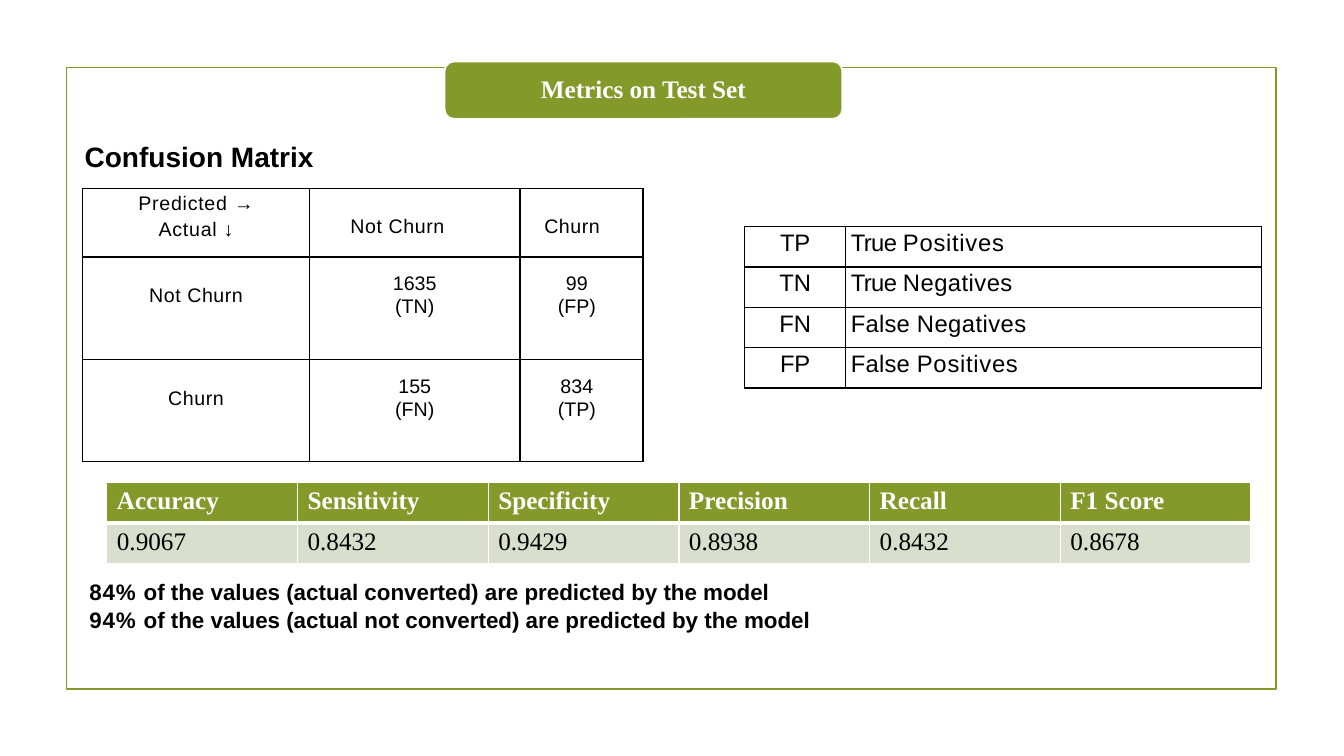
"""Build the slide of churn model metrics on the test set."""
from lxml.etree import SubElement
from pptx import Presentation
from pptx.dml.color import RGBColor
from pptx.enum.shapes import MSO_SHAPE as Shape
from pptx.enum.text import MSO_ANCHOR as Anchor, PP_ALIGN as Align
from pptx.oxml.ns import qn
from pptx.util import Inches, Pt

WIDTH, HEIGHT = 13.33, 7.5
OLIVE, PALE, WHITE, BLACK = "83992A", "D9DECD", "FFFFFF", "000000"
SANS, SERIF = "Arial", "Times New Roman"


def across(share):
    """Return a percentage of the slide width."""
    return Inches(WIDTH * share / 100)


def down(share):
    """Return a percentage of the slide height."""
    return Inches(HEIGHT * share / 100)


def place(left, top, width, height):
    """Return a position and size given as percentages of the slide."""
    return across(left), down(top), across(width), down(height)


def color(code):
    """Turn a hex string into a colour."""
    return RGBColor.from_string(code)


def write(frame, lines, size=14, font=SANS, ink=BLACK, bold=False,
          align=Align.LEFT, leading=1.0, gap=0, spacing=0):
    """Write lines, each a string or a list of (text, letter spacing) pairs."""
    frame.word_wrap = True
    for index, line in enumerate(lines):
        para = frame.add_paragraph() if index else frame.paragraphs[0]
        para.alignment = align
        para.line_spacing = leading
        para.space_before = Pt(gap if index else 0)
        pairs = [(line, spacing)] if isinstance(line, str) else line
        for text, tracking in pairs:
            span = para.add_run()
            span.text = text
            span.font.size = Pt(size)
            span.font.name = font
            span.font.bold = bold
            span.font.color.rgb = color(ink)
            span._r.get_or_add_rPr().set("spc", str(round(tracking * 100)))


def add_text(page, area, lines, **style):
    """Add a text box without insets."""
    frame = page.shapes.add_textbox(*place(*area)).text_frame
    frame.margin_left = frame.margin_right = 0
    frame.margin_top = frame.margin_bottom = 0
    write(frame, lines, **style)


def add_box(page, kind, area, line, fill=None):
    """Add a flat outlined shape, filled if a colour is given."""
    box = page.shapes.add_shape(kind, *place(*area))
    box.shadow.inherit = False
    box.line.color.rgb = color(line)
    box.line.width = Pt(1.25)
    if fill:
        box.fill.solid()
        box.fill.fore_color.rgb = color(fill)
    else:
        box.fill.background()
    return box


def add_grid(page, left, top, columns, rows):
    """Add a plain table with the given column widths and row heights."""
    area = place(left, top, sum(columns), sum(rows))
    table = page.shapes.add_table(len(rows), len(columns), *area).table
    table.first_row = table.horz_banding = False
    for column, share in zip(table.columns, columns):
        column.width = across(share)
    for row, share in zip(table.rows, rows):
        row.height = down(share)
    return table


def border(cell, code, **widths):
    """Draw the four cell edges, one point wide unless widths differ."""
    properties = cell._tc.get_or_add_tcPr()
    for side in "LRTB":
        edge = SubElement(properties, qn(f"a:ln{side}"),
                          w=str(Pt(widths.get(side, 1))))
        paint = SubElement(edge, qn("a:solidFill"))
        SubElement(paint, qn("a:srgbClr"), val=code)


def fill_cell(cell, lines, insets=(0, 0, 0), edge=BLACK, widths=None,
              fill=None, **style):
    """Set the edges, fill, left, top and right insets and text of a cell."""
    border(cell, edge, **(widths or {}))
    if fill:
        cell.fill.solid()
        cell.fill.fore_color.rgb = color(fill)
    else:
        cell.fill.background()
    left, top, right = insets
    cell.margin_left, cell.margin_right = across(left), across(right)
    cell.margin_top, cell.margin_bottom = down(top), 0
    write(cell.text_frame, lines, **style)


def add_matrix(page):
    """Add the confusion matrix."""
    table = add_grid(page, 6.15, 24.93, (16.88, 15.67, 9.15), (9.07, 13.6, 13.5))
    corner = [[("Predicted ", 0.5), ("→", 0)], [("Actual ", 0.5), ("↓", 0)]]
    fill_cell(table.cell(0, 0), corner, (0, 0.5, 0), align=Align.CENTER, gap=3)
    classes = (("Not Churn", 3.05), ("Churn", 1.8))
    counts = (("1635", "(TN)"), ("99", "(FP)")), (("155", "(FN)"), ("834", "(TP)"))
    for index, (name, indent) in enumerate(classes, 1):
        fill_cell(table.cell(0, index), [name], (indent, 3.6, 0), spacing=0.4)
        fill_cell(table.cell(index, 0), [name], (0, 3.7, 0),
                  align=Align.CENTER, spacing=0.4)
        for column, (lines, right) in enumerate(zip(counts[index - 1], (0, 0.7)), 1):
            fill_cell(table.cell(index, column), lines, (0, 2, right),
                      align=Align.CENTER, leading=1.04)


def add_legend(page):
    """Add the key to the four abbreviations."""
    table = add_grid(page, 55.42, 30, (7.5, 30.95), [5.33] * 4)
    entries = (("TP", "True ", -0.5, "Positives", 0.5),
               ("TN", "True ", -0.5, "Negatives", 0.3),
               ("FN", "False ", 0.1, "Negatives", 0.3),
               ("FP", "False ", 0.1, "Positives", 0.5))
    for row, (code, truth, tight, outcome, loose) in enumerate(entries):
        fill_cell(table.cell(row, 0), [code], (0, 0.4, 0), size=17,
                  align=Align.CENTER, spacing=-0.2)
        fill_cell(table.cell(row, 1), [[(truth, tight), (outcome, loose)]],
                  (0.4, 0.4, 0), size=17)


def add_metrics(page):
    """Add the table of scores."""
    scores = (("Accuracy", "0.9067"), ("Sensitivity", "0.8432"),
              ("Specificity", "0.9429"), ("Precision", "0.8938"),
              ("Recall", "0.8432"), ("F1 Score", "0.8678"))
    table = add_grid(page, 7.95, 63.75, [14.19] * len(scores), [5.4] * 2)
    common = dict(insets=(0.75, 0.67, 0.75), edge=WHITE, size=18, font=SERIF)
    for column, (name, score) in enumerate(scores):
        fill_cell(table.cell(0, column), [name], widths={"B": 3}, fill=OLIVE,
                  ink=WHITE, bold=True, **common)
        fill_cell(table.cell(1, column), [score], widths={"T": 3}, fill=PALE,
                  **common)


def add_badge(page):
    """Add the rounded title badge."""
    badge = add_box(page, Shape.ROUNDED_RECTANGLE, (33.08, 8.13, 29.6, 7.6),
                    WHITE, OLIVE)
    badge.text_frame.vertical_anchor = Anchor.MIDDLE
    write(badge.text_frame, ["Metrics on Test Set"], size=18, font=SERIF,
          ink=WHITE, bold=True, align=Align.CENTER, leading=0.9)


def main():
    """Build and save the deck."""
    deck = Presentation()
    deck.slide_width, deck.slide_height = Inches(WIDTH), Inches(HEIGHT)
    page = deck.slides.add_slide(deck.slide_layouts[6])
    add_box(page, Shape.RECTANGLE, (4.95, 8.93, 90, 82.27), OLIVE)
    add_text(page, (6.3, 18.4, 20, 4.6), ["Confusion Matrix"], size=20, bold=True)
    add_matrix(page)
    add_legend(page)
    findings = [
        [("84% ", 0.6), ("of the values (actual converted) are predicted by the model", 0)],
        [("94% ", 0.6), ("of the values (actual not converted) are predicted by the model", 0)],
    ]
    add_text(page, (6.65, 76.4, 60, 8), findings, size=16, bold=True, leading=1.04)
    add_badge(page)
    add_metrics(page)
    deck.save("out.pptx")


if __name__ == "__main__":
    main()
